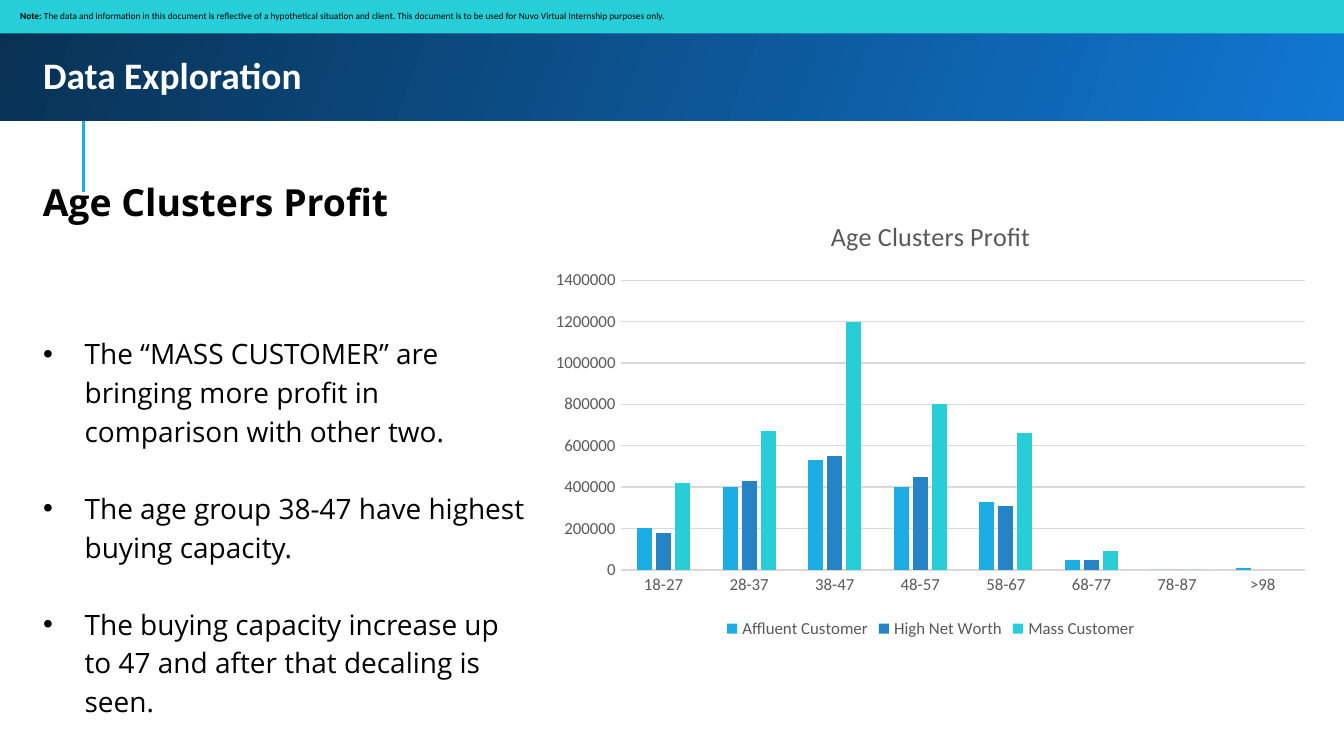
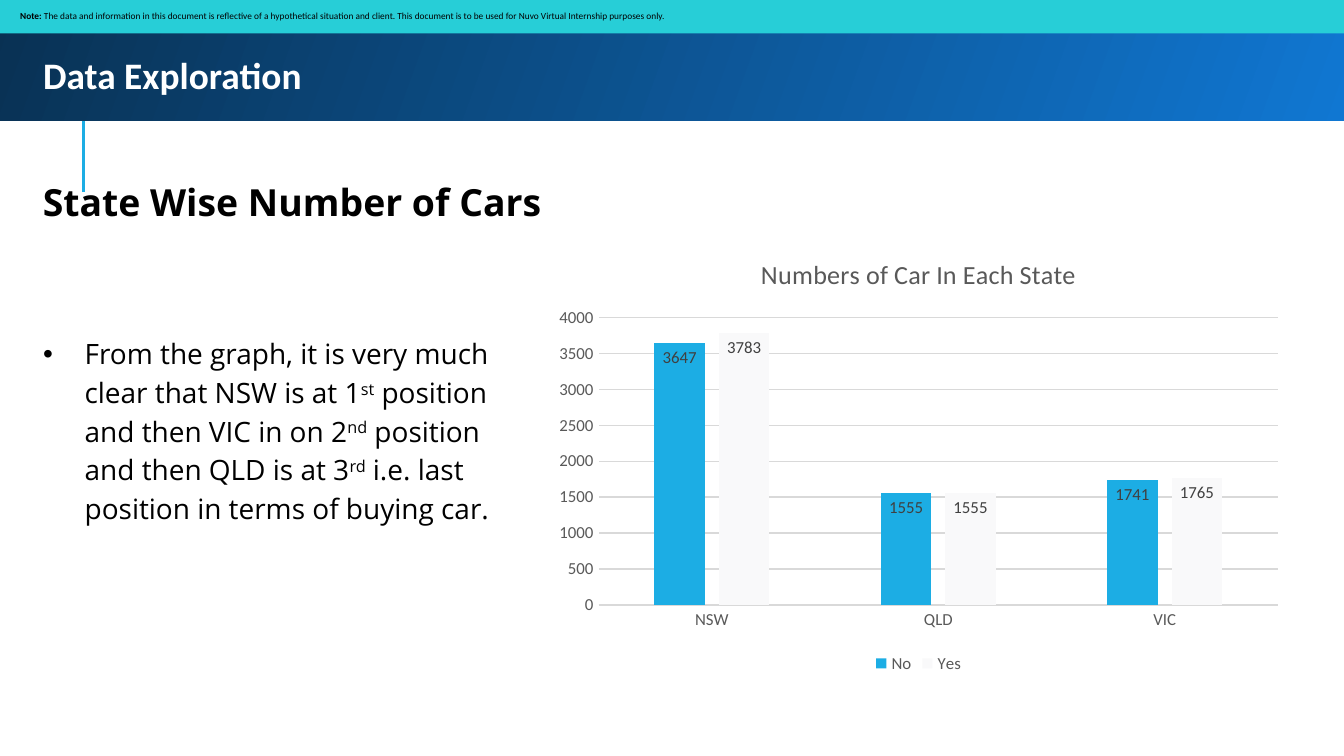
from lxml import etree
from pptx import Presentation
from pptx.chart.data import CategoryChartData
from pptx.dml.color import RGBColor
from pptx.enum.chart import XL_CHART_TYPE, XL_LABEL_POSITION, XL_LEGEND_POSITION, XL_TICK_MARK
from pptx.enum.shapes import MSO_CONNECTOR, MSO_SHAPE
from pptx.enum.text import MSO_ANCHOR, MSO_AUTO_SIZE, PP_ALIGN
from pptx.oxml.ns import qn
from pptx.util import Inches, Pt

COLORS = {
    "black": "000000", "white": "FFFFFF", "sky": "1CADE4", "blue": "2683C6",
    "teal": "27CED7", "pale": "F9F9FA", "band_light": "1077D2",
    "band_dark": "093153", "grid": "D9D9D9", "chart_text": "595959",
    "label": "404040",
}
HEAD_FONT, BODY_FONT = "Calibri", "Open Sans"
SLIDE_WIDTH = Inches(10)
SLIDE_HEIGHT = SLIDE_WIDTH * 9 // 16
LEFT, TEXT_WIDTH = 0.22, 9.37
BULLET_INDENT = Inches(0.31)
BULLET_GAP = Pt(20.7)
NOTE = ("The data and information in this document is reflective of a hypothetical "
        "situation and client. This document is to be used for Nuvo Virtual "
        "Internship purposes only.")

AGE_SLIDE = {
    "heading": "Age Clusters Profit",
    "bullets": [
        ["The “MASS CUSTOMER” are bringing more profit in comparison with other two."],
        ["The age group 38-47 have highest buying capacity."],
        ["The buying capacity increase up to 47 and after that decaling is seen."],
    ],
    "bullets_box": (LEFT, 2.37, 3.8, 3.09),
    "chart_title": "Age Clusters Profit",
    "chart_box": (4.02, 1.47, 5.81, 3.32),
    "categories": ["18-27", "28-37", "38-47", "48-57", "58-67", "68-77", "78-87", ">98"],
    "series": [
        ("Affluent Customer", "sky",
         [200000, 400000, 530000, 400000, 330000, 50000, 0, 10000]),
        ("High Net Worth", "blue",
         [180000, 430000, 550000, 450000, 310000, 50000, 0, None]),
        ("Mass Customer", "teal",
         [420000, 670000, 1200000, 800000, 660000, 90000, 0, None]),
    ],
    "axis_max": 1400000, "axis_step": 200000, "labelled": False,
}
STATE_SLIDE = {
    "heading": "State Wise Number of Cars",
    # Every second run of this bullet is an ordinal suffix
    "bullets": [
        ["From the graph, it is very much clear that NSW is at 1", "st",
         " position and then VIC in on 2", "nd",
         " position and then QLD is at 3", "rd",
         " i.e. last position in terms of buying car."],
    ],
    "bullets_box": (LEFT, 2.37, 3.68, 1.64),
    "chart_title": "Numbers of Car In Each State",
    "chart_box": (4.05, 1.75, 5.57, 3.3),
    "categories": ["NSW", "QLD", "VIC"],
    "series": [("No", "sky", [3647, 1555, 1741]), ("Yes", "pale", [3783, 1555, 1765])],
    "axis_max": 4000, "axis_step": 500, "labelled": True,
}


def rgb(name):
    """Return the named palette colour."""
    return RGBColor.from_string(COLORS[name])


def box(values):
    """Turn left, top, width and height in inches into lengths."""
    return [Inches(value) for value in values]


def style_font(font, size, color, name=HEAD_FONT, bold=False):
    """Set size, colour, typeface and weight of a font."""
    font.size, font.name, font.bold = Pt(size), name, bold
    font.color.rgb = rgb(color)


def add_run(paragraph, text, size, color, name=HEAD_FONT, bold=False):
    """Append a formatted run."""
    run = paragraph.add_run()
    run.text = text
    style_font(run.font, size, color, name, bold)
    return run


def set_frame(frame, inset=0.1, anchor=MSO_ANCHOR.TOP, grow=True):
    """Set wrapping, insets and anchoring of a text frame."""
    frame.word_wrap = True
    frame.auto_size = MSO_AUTO_SIZE.SHAPE_TO_FIT_TEXT if grow else MSO_AUTO_SIZE.NONE
    frame.vertical_anchor = anchor
    frame.margin_left = frame.margin_right = Inches(inset)
    frame.margin_top = frame.margin_bottom = Inches(inset)


def place(shape, values):
    """Move a placeholder and bring it to the front."""
    shape.left, shape.top, shape.width, shape.height = box(values)
    shape.element.getparent().append(shape.element)


def add_bar(slide, values):
    """Add a plain rectangle without outline or shadow."""
    bar = slide.shapes.add_shape(MSO_SHAPE.RECTANGLE, *box(values))
    bar.shadow.inherit = False
    bar.line.fill.background()
    return bar


def add_header(slide):
    """Add the accent line, the gradient band and the slide title."""
    accent = slide.shapes.add_connector(
        MSO_CONNECTOR.STRAIGHT, *box((0.62, 1.43, 0.62, 0.68)))
    accent.line.color.rgb = rgb("sky")
    accent.line.width = Pt(1.5)
    etree.SubElement(accent.element.spPr, qn("a:effectLst"))

    band = add_bar(slide, (-0.02, -0.02, 10.05, 0.92))
    band.fill.gradient()
    band.fill.gradient_angle = 160
    for stop, color in zip(band.fill.gradient_stops, ("band_light", "band_dark")):
        stop.color.rgb = rgb(color)

    title = slide.shapes.title
    place(title, (LEFT, 0.29, TEXT_WIDTH, 0.51))
    set_frame(title.text_frame)
    paragraph = title.text_frame.paragraphs[0]
    paragraph.alignment = PP_ALIGN.LEFT
    add_run(paragraph, "Data Exploration", 20, "white", bold=True)


def add_heading(slide, text):
    """Add the bold heading below the band."""
    heading = slide.shapes.add_textbox(*box((LEFT, 1.18, TEXT_WIDTH, 0.56)))
    set_frame(heading.text_frame)
    paragraph = heading.text_frame.paragraphs[0]
    paragraph.line_spacing = 1.15
    add_run(paragraph, text, 20, "black", BODY_FONT, bold=True)


def add_bullets(slide, bullets, values):
    """Fill the body placeholder; odd runs are superscript."""
    body = slide.placeholders[1]
    place(body, values)
    frame = body.text_frame
    set_frame(frame)
    for number, pieces in enumerate(bullets):
        paragraph = frame.add_paragraph() if number else frame.paragraphs[0]
        paragraph.line_spacing = 1.15
        paragraph.space_before = BULLET_GAP if number else Pt(0)
        props = paragraph._p.get_or_add_pPr()
        props.set("marL", str(BULLET_INDENT))
        props.set("indent", str(-BULLET_INDENT))
        etree.SubElement(props, qn("a:buFont")).set("typeface", "Arial")
        etree.SubElement(props, qn("a:buChar")).set("char", "•")
        for position, piece in enumerate(pieces):
            run = add_run(paragraph, piece, 15, "black", BODY_FONT)
            if position % 2:
                run.font._element.set("baseline", "30000")


def add_note(slide):
    """Add the disclaimer strip along the top edge."""
    strip = add_bar(slide, (-0.01, -0.01, 10.03, 0.26))
    strip.fill.solid()
    strip.fill.fore_color.rgb = rgb("teal")
    set_frame(strip.text_frame, 0.05, MSO_ANCHOR.MIDDLE, grow=False)
    strip.text_frame.margin_left = Inches(0.16)
    paragraph = strip.text_frame.paragraphs[0]
    paragraph.alignment = PP_ALIGN.LEFT
    add_run(paragraph, "Note: ", 5, "black", bold=True)
    add_run(paragraph, NOTE, 5, "black")


def style_axes(chart, maximum, step):
    """Format both axes and the gridlines."""
    for axis in (chart.category_axis, chart.value_axis):
        axis.major_tick_mark = axis.minor_tick_mark = XL_TICK_MARK.NONE
        style_font(axis.tick_labels.font, 9, "chart_text")
    values = chart.value_axis
    values.minimum_scale, values.maximum_scale, values.major_unit = 0, maximum, step
    values.format.line.fill.background()
    for line in (chart.category_axis.format.line, values.major_gridlines.format.line):
        line.color.rgb = rgb("grid")
        line.width = Pt(0.75)


def add_column_chart(slide, content):
    """Add the clustered column chart with title and legend."""
    data = CategoryChartData()
    data.categories = content["categories"]
    for name, _, values in content["series"]:
        data.add_series(name, values)
    chart = slide.shapes.add_chart(
        XL_CHART_TYPE.COLUMN_CLUSTERED, *box(content["chart_box"]), data).chart
    style_font(chart.font, 10, "black")
    chart.has_title = True
    add_run(chart.chart_title.text_frame.paragraphs[0],
            content["chart_title"], 14, "chart_text")
    chart.chart_title.include_in_layout = False
    chart.has_legend = True
    chart.legend.position = XL_LEGEND_POSITION.BOTTOM
    chart.legend.include_in_layout = False
    style_font(chart.legend.font, 9, "chart_text")
    style_axes(chart, content["axis_max"], content["axis_step"])

    plot = chart.plots[0]
    plot.gap_width, plot.overlap, plot.vary_by_categories = 219, -27, False
    for series, (_, color, _) in zip(plot.series, content["series"]):
        series.format.fill.solid()
        series.format.fill.fore_color.rgb = rgb(color)
        series.invert_if_negative = False
        if content["labelled"]:
            labels = series.data_labels
            labels.show_value = True
            labels.position = XL_LABEL_POSITION.INSIDE_END
            style_font(labels.font, 9, "label")


def main():
    """Build both slides and save the deck."""
    deck = Presentation()
    deck.slide_width, deck.slide_height = SLIDE_WIDTH, SLIDE_HEIGHT
    for content in (AGE_SLIDE, STATE_SLIDE):
        slide = deck.slides.add_slide(deck.slide_layouts[1])
        add_header(slide)
        add_heading(slide, content["heading"])
        add_bullets(slide, content["bullets"], content["bullets_box"])
        add_note(slide)
        add_column_chart(slide, content)
    deck.save("out.pptx")


main()
